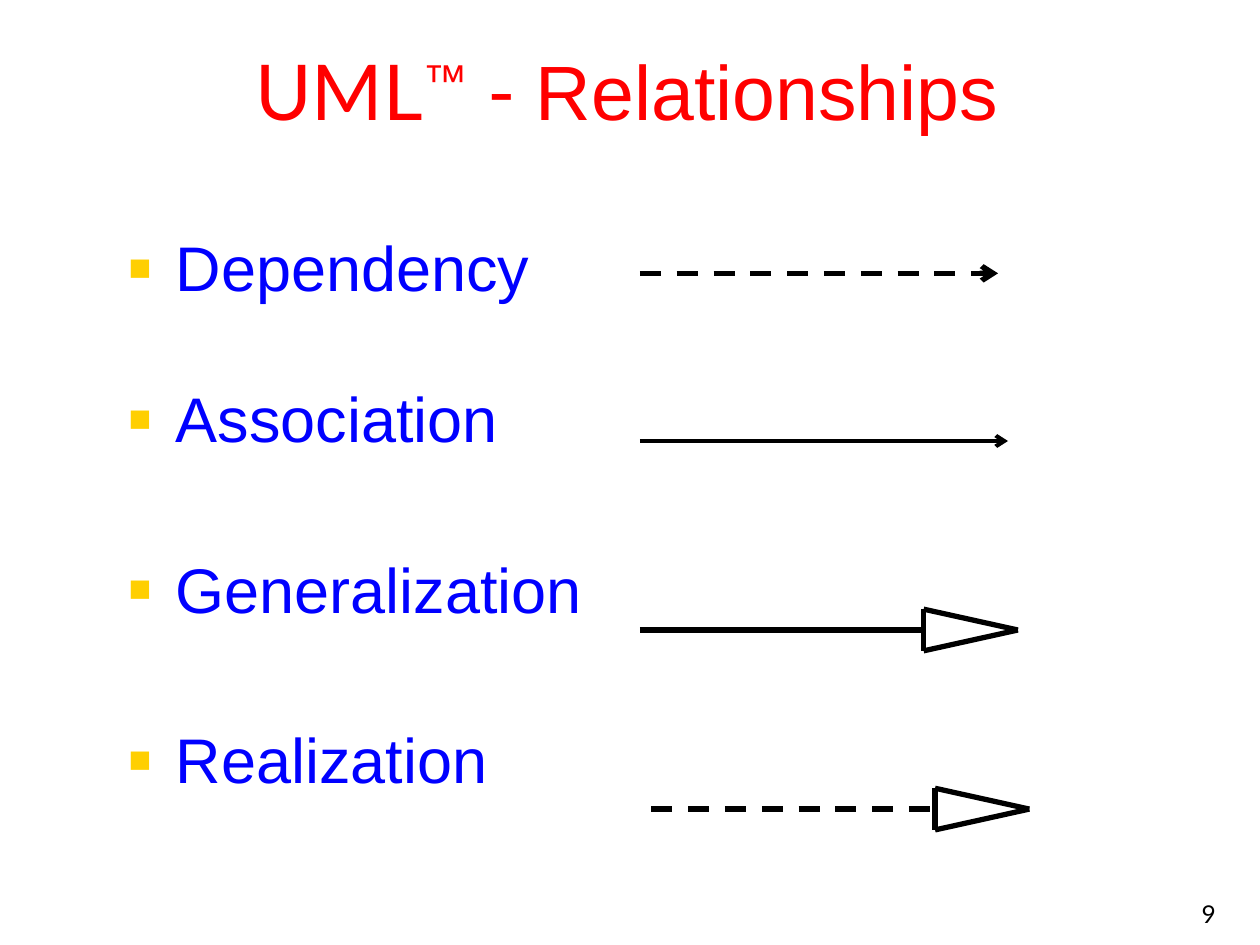
from lxml.etree import SubElement as Sub
from pptx import Presentation
from pptx.dml.color import RGBColor as RGB
from pptx.enum.dml import MSO_LINE_DASH_STYLE as Dash
from pptx.enum.shapes import MSO_CONNECTOR as Conn
from pptx.enum.text import MSO_ANCHOR as Anchor, MSO_AUTO_SIZE as Auto, PP_ALIGN as Align
from pptx.oxml.ns import qn
from pptx.util import Cm, Pt

# Content: title runs are text, font, superscript
TITLE = [("UML", "Lato", False), ("™", "Arial", True),
         (" - ", "Lato", False), ("Relationships", "Arial", False)]
# Name, space before (pt)
KINDS = [("Dependency", 0), ("Association", 47.5),
         ("Generalization", 58.5), ("Realization", 58.5)]
# Left, right, height on slide (cm), width (pt), dashed, end
LINES = [(12.9, 20.12, 5.51, 3, True, "arrow"),
         (12.9, 20.32, 8.89, 2.25, False, "arrow"),
         (12.9, 18.62, 12.7, 3, False, "triangle"),
         (13.13, 18.85, 16.31, 3, True, "triangle")]
HEAD, HALF = 1.9, 0.42
RED, BLUE, GOLD, BLACK, WHITE = "FF0000", "0000FF", "FFCF01", "000000", "FFFFFF"


def paint(part, tone):
    part.rgb = RGB.from_string(tone)


def place(shape, *box):
    shape.left, shape.top, shape.width, shape.height = map(Cm, box)


def add_run(para, text, face, size, tone):
    run = para.add_run()
    run.text = text
    run.font.name, run.font.size = face, Pt(size)
    paint(run.font.color, tone)
    return run


def add_bullet(para):
    props = para._p.get_or_add_pPr()
    props.set("marL", str(Cm(0.95)))
    props.set("indent", str(-Cm(0.95)))
    Sub(Sub(props, qn("a:buClr")), qn("a:srgbClr"), val=GOLD)
    Sub(props, qn("a:buSzPct"), val="60000")
    Sub(props, qn("a:buFont"), typeface="Arial")
    Sub(props, qn("a:buChar"), char="■")


def add_line(x1, y1, x2, y2, width, dashed=False, arrow=False):
    line = slide.shapes.add_connector(Conn.STRAIGHT, *map(Cm, (x1, y1, x2, y2)))
    paint(line.line.color, BLACK)
    line.line.width = Pt(width)
    if dashed:
        line.line.dash_style = Dash.DASH
    if arrow:
        Sub(line.line._get_or_add_ln(), qn("a:tailEnd"), type="arrow")
    Sub(line._element.spPr, qn("a:effectLst"))


deck = Presentation()
deck.slide_width, deck.slide_height = Cm(25.4), Cm(19.05)
slide = deck.slides.add_slide(deck.slide_layouts[1])

# Title
title = slide.shapes.title
place(title, 0.43, 0.43, 24.41, 2.74)
title.fill.solid()
paint(title.fill.fore_color, WHITE)
frame = title.text_frame
frame.auto_size, frame.vertical_anchor = Auto.NONE, Anchor.MIDDLE
para = frame.paragraphs[0]
para.alignment = Align.CENTER
for text, face, above in TITLE:
    run = add_run(para, text, face, 44, RED)
    if above:
        run.font._element.set("baseline", "30000")

# List of relationships
body = slide.placeholders[1]
place(body, 2.34, 4.65, 22.43, 12.37)
frame = body.text_frame
frame.auto_size, frame.vertical_anchor = Auto.NONE, Anchor.TOP
for i, (name, gap) in enumerate(KINDS):
    para = frame.add_paragraph() if i else frame.paragraphs[0]
    add_bullet(para)
    para.line_spacing, para.space_before = 0.9, Pt(gap)
    add_run(para, name, "Arial", 36, BLUE)

# Arrows, with open triangles drawn from three sides
for left, right, y, width, dashed, end in LINES:
    add_line(left, y, right, y, width, dashed, end == "arrow")
    if end == "triangle":
        low, high, tip = (right, y + HALF), (right, y - HALF), (right + HEAD, y)
        for start, stop in ((low, high), (low, tip), (high, tip)):
            add_line(*start, *stop, width)

# Page number
page = slide.shapes.add_textbox(Cm(19.48), Cm(17.58), Cm(5.28), Cm(1.27))
frame = page.text_frame
frame.word_wrap, frame.vertical_anchor = True, Anchor.BOTTOM
para = frame.paragraphs[0]
para.alignment = Align.RIGHT
add_run(para, "9", "Lato", 14, BLACK)

deck.save("out.pptx")
